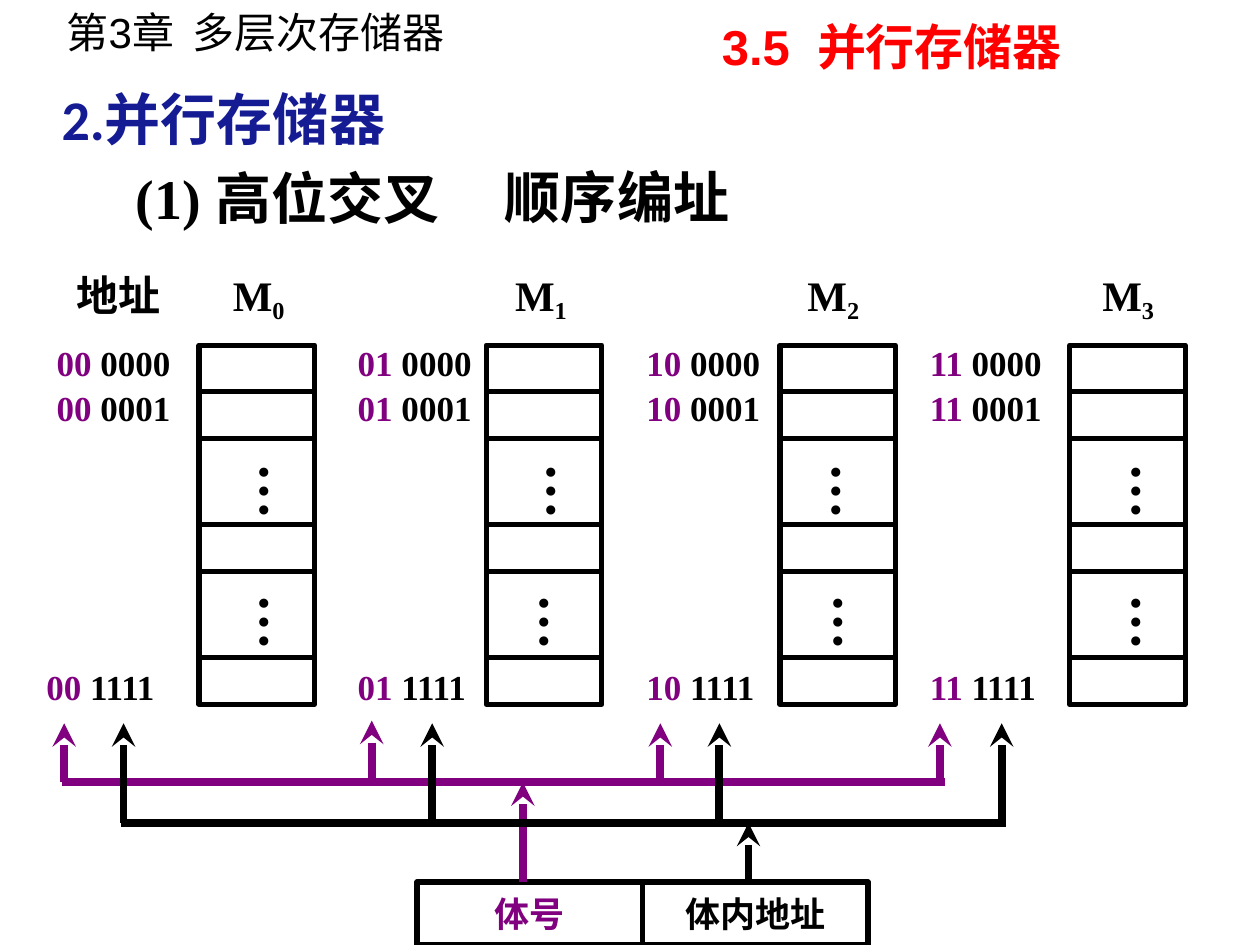
"""Build the slide on high-order interleaved parallel memory."""
from pptx import Presentation
from pptx import util as u
from pptx.dml import color
from pptx.enum import shapes, text
from pptx.oxml import ns, xmlchemy

INK = {"black": "000000", "plum": "800080", "navy": "151B93", "red": "FF0000"}
ROMAN = "Times New Roman"
TOP = 197.3
ROWS = [26.6, 26.6, 49.4, 26.6, 49.4, 26.6]
WIDTH = 66
BANKS = [
    {"tag": "00", "cells": 113.8, "name": 126, "dots": (131.8, 131.8),
     "codes": (25.2, 25.2, 19.4), "plum": (36.7, 413.3), "black": (70.6, 413.3)},
    {"tag": "01", "cells": 277.9, "name": 287.3, "dots": (295.9, 291.6),
     "codes": (197.3,) * 3, "plum": (212.4, 411.8), "black": (247, 413.3)},
    {"tag": "10", "cells": 445.7, "name": 454.3, "dots": (458.6, 460.1),
     "codes": (362.2,) * 3, "plum": (377.3, 413.3), "black": (411.1, 413.3)},
    {"tag": "11", "cells": 611.3, "name": 622.8, "dots": (630, 630),
     "codes": (524.2,) * 3, "plum": (537.1, 413.3), "black": (572.4, 413.3)},
]
CODES = [(" 0000", 191.5), (" 0001", 217.4), (" 1111", 376.6)]
BUSES = [
    {"ink": "plum", "y": 447.1, "ends": (35.3, 540), "feed": 298.8},
    {"ink": "black", "y": 470.2, "ends": (69.1, 574.6), "feed": 427.7},
]


def pts(*nums):
    """Turn numbers into lengths in points."""
    return [u.Pt(num) for num in nums]


def paint(ink):
    """Look up a colour by name."""
    return color.RGBColor.from_string(INK[ink])


def write(para, words, size, ink="black", face=ROMAN, bold=True):
    """Add a formatted run to a paragraph and return it."""
    run = para.add_run()
    run.text = words
    for key, value in {"size": u.Pt(size), "name": face, "bold": bold}.items():
        setattr(run.font, key, value)
    run.font.color.rgb = paint(ink)
    return run


def add_box(slide, place, wrap=True):
    """Add an empty text box and return it."""
    box = slide.shapes.add_textbox(*pts(*place))
    form = {"word_wrap": wrap, "auto_size": text.MSO_AUTO_SIZE.SHAPE_TO_FIT_TEXT}
    for key, value in form.items():
        setattr(box.text_frame, key, value)
    return box


def add_text(slide, place, words, size, wrap=True, **look):
    """Add a text box that holds a single run."""
    box = add_box(slide, place, wrap)
    write(box.text_frame.paragraphs[0], words, size, **look)
    return box


def add_cell(slide, *place):
    """Add an unfilled outlined rectangle and return it."""
    cell = slide.shapes.add_shape(shapes.MSO_SHAPE.RECTANGLE, *pts(*place))
    cell.shadow.inherit = False
    cell.fill.background()
    cell.line.color.rgb = paint("black")
    cell.line.width = u.Pt(3)
    return cell


def add_line(slide, ends, ink, head=False):
    """Add a thick line, with an arrowhead at its start if asked."""
    line = slide.shapes.add_connector(shapes.MSO_CONNECTOR.STRAIGHT, *pts(*ends))
    line.line.color.rgb = paint(ink)
    line.line.width = u.Pt(4.5)
    props = line.element.spPr
    if head:
        tip = xmlchemy.OxmlElement("a:headEnd")
        tip.set("type", "stealth")
        props.find(ns.qn("a:ln")).append(tip)
    props.append(xmlchemy.OxmlElement("a:effectLst"))


def add_bank(slide, num, bank):
    """Draw one memory bank with its name, cells, dots and addresses."""
    para = add_box(slide, (bank["name"], 150.5, 45.4, 36), False).text_frame.paragraphs[0]
    write(para, "M", 24)
    write(para, str(num), 24)._r.get_or_add_rPr().set("baseline", "-20000")
    for row, high in enumerate(ROWS):
        add_cell(slide, bank["cells"], TOP + sum(ROWS[:row]), WIDTH, high)
    for left, top in zip(bank["dots"], (257.8, 332.6)):
        dots = add_text(slide, (left, top, 52.6, 39.6), "…", 32, False)
        dots.element.txBody.bodyPr.set("vert", "eaVert")
    for left, (code, top) in zip(bank["codes"], CODES):
        para = add_box(slide, (left, top, 82.8, 31)).text_frame.paragraphs[0]
        write(para, bank["tag"], 20, "plum")
        write(para, code, 20)


def add_bus(slide, bus):
    """Draw a bus with its arrows to the banks and its feed from below."""
    ink, y = bus["ink"], bus["y"]
    left, right = bus["ends"]
    add_line(slide, (left, y, right, y), ink)
    for bank in BANKS:
        x, top = bank[ink]
        add_line(slide, (x, top, x, y), ink, True)
    add_line(slide, (bus["feed"], y, bus["feed"], 504), ink, True)


def add_field(slide, left, words, ink):
    """Draw one labelled field of the address word."""
    cell = add_cell(slide, left, 504, 128.9, 36)
    cell.text_frame.vertical_anchor = text.MSO_ANCHOR.MIDDLE
    para = cell.text_frame.paragraphs[0]
    para.alignment = text.PP_ALIGN.CENTER
    write(para, words, 20, ink)


def main():
    """Build and save the slide."""
    deck = Presentation()
    deck.slide_width, deck.slide_height = pts(720, 540)
    slide = deck.slides.add_slide(deck.slide_layouts[6])
    add_text(slide, (31, 0, 289.4, 36), "第3章  多层次存储器", 24, face="Arial", bold=False)
    add_text(slide, (405.4, 5.8, 211.7, 41), "3.5  并行存储器", 28, ink="red", face="Arial")
    add_text(slide, (28.1, 44.6, 219.6, 46.1), "2.并行存储器", 32, ink="navy", face="Calibri")
    add_text(slide, (70.6, 90, 425.5, 45.4), "(1) 高位交叉", 32)
    add_text(slide, (281.5, 89.3, 343.4, 45.4), "顺序编址", 32)
    add_text(slide, (36.7, 150.5, 62.6, 36), "地址", 24, False)
    for num, bank in enumerate(BANKS):
        add_bank(slide, num, bank)
    add_field(slide, 238.3, "体号", "plum")
    add_field(slide, 367.2, "体内地址", "black")
    for bus in BUSES:
        add_bus(slide, bus)
    deck.save("out.pptx")


if __name__ == "__main__":
    main()
